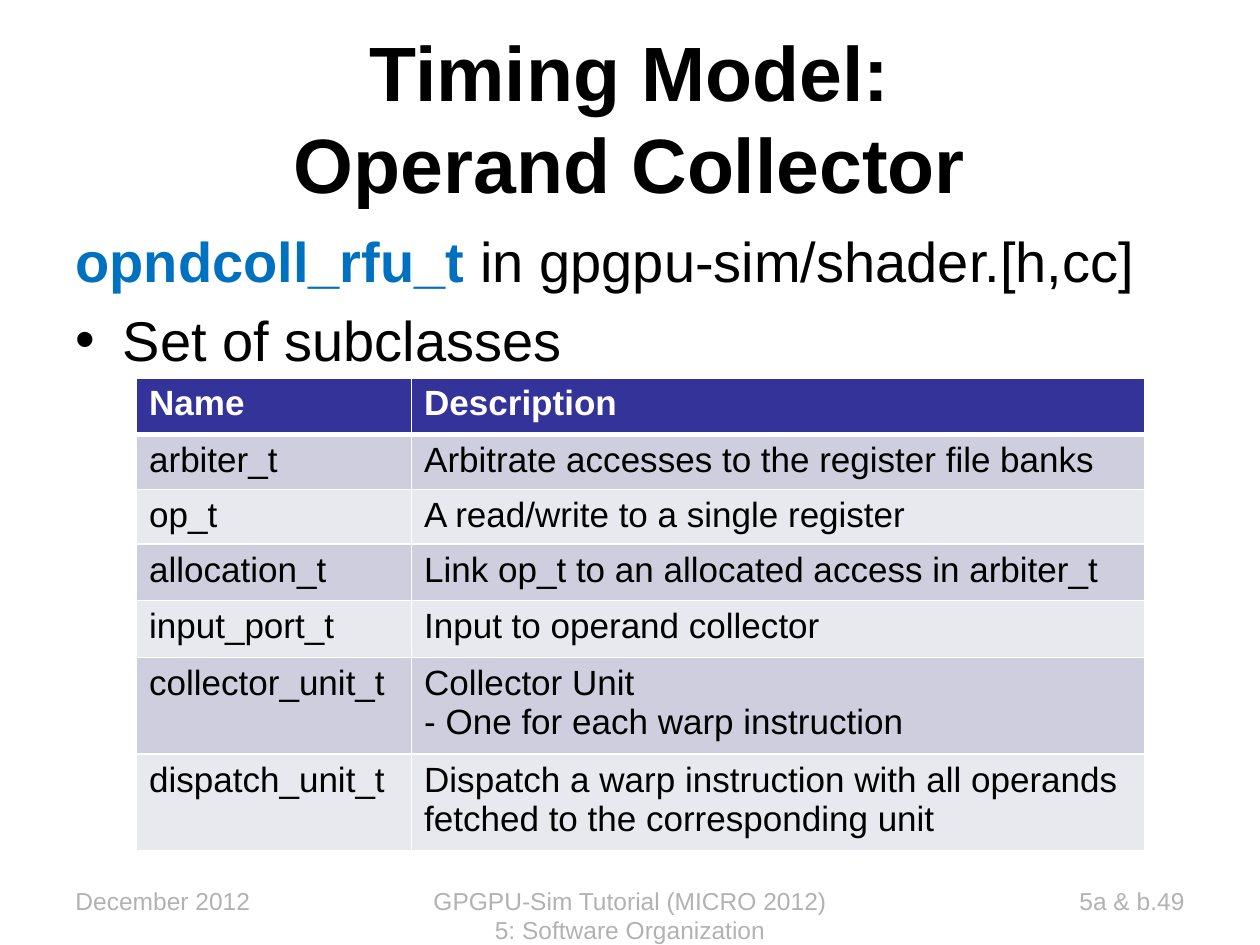
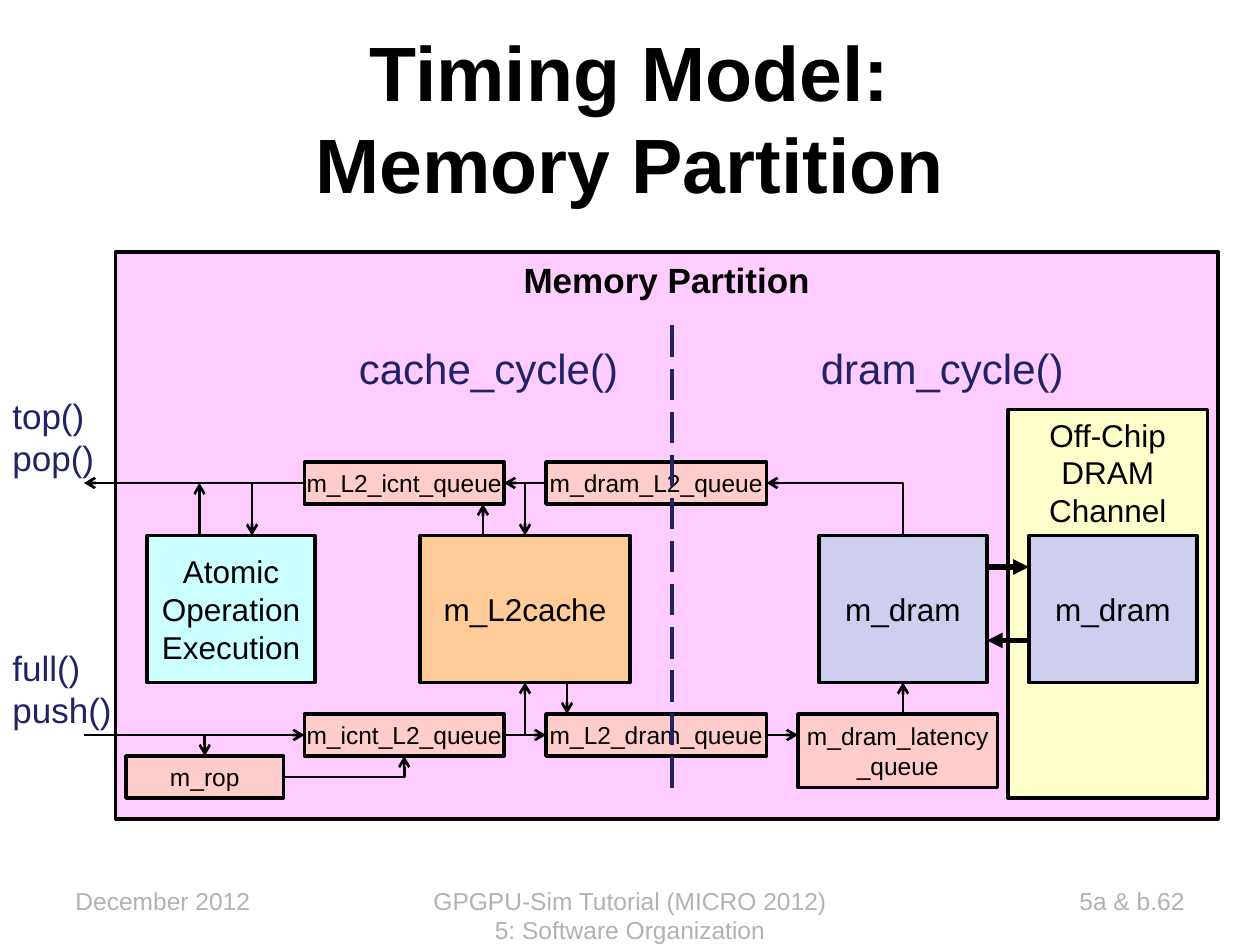
from dataclasses import dataclass

from lxml import etree
from pptx import Presentation
from pptx.dml.color import RGBColor
from pptx.enum import dml, shapes, text
from pptx.oxml import ns
from pptx.util import Emu, Inches, Pt

COLUMNS, ROWS = 120, 90
SLIDE_WIDTH, SLIDE_HEIGHT = Inches(10), Inches(7.5)
FONT = "Arial"
COLORS = {
    "black": "000000", "white": "FFFFFF", "code": "0070C0", "footer": "B2B2B2",
    "header": "333399", "odd": "CECEDE", "even": "E8E8EF", "call": "222267",
    "partition": "FFCCFF", "cache": "FFCC99", "dram": "CECEEF",
    "channel": "FFFFCC", "atomic": "CCFFFF", "queue": "FFCCCC",
}
LEFT, CENTER, RIGHT = text.PP_ALIGN.LEFT, text.PP_ALIGN.CENTER, text.PP_ALIGN.RIGHT
TOP, MIDDLE = text.MSO_ANCHOR.TOP, text.MSO_ANCHOR.MIDDLE


@dataclass(frozen=True)
class Area:
    column: float
    row: float
    columns: float
    rows: float

    def lengths(self) -> tuple:
        return across(self.column), down(self.row), across(self.columns), down(self.rows)


@dataclass(frozen=True)
class Block:
    label: str
    area: Area
    fill: str
    size: int = 18
    bold: bool = False
    anchor: text.MSO_ANCHOR = MIDDLE


@dataclass(frozen=True)
class Link:
    start: tuple
    end: tuple
    elbow: bool = False
    width: float = 1.5
    head: str = ""
    tail: str = "arrow"


@dataclass(frozen=True)
class Label:
    wording: str
    area: Area
    size: int
    color: str = "call"
    align: text.PP_ALIGN = LEFT
    wrap: bool = False


TITLE_AREA = Area(6, 3.6, 108, 15)
BODY_AREA = Area(6, 21, 108, 59.4)
TABLE_AREA = Area(13, 36, 96, 43.2)
NAME_COLUMNS = 26.2
ROW_HEIGHTS = (5.4, 4.9, 4.9, 5.4, 5.4, 5.4, 5.4)
SUBCLASSES = (
    ("Name", "Description"),
    ("arbiter_t", "Arbitrate accesses to the register file banks"),
    ("op_t", "A read/write to a single register"),
    ("allocation_t", "Link op_t to an allocated access in arbiter_t"),
    ("input_port_t", "Input to operand collector"),
    ("collector_unit_t", "Collector Unit\n- One for each warp instruction"),
    ("dispatch_unit_t",
     "Dispatch a warp instruction with all operands fetched to the corresponding unit"),
)


def queue(label: str, column: float, row: float, columns: float, rows: float = 4) -> Block:
    return Block(label, Area(column, row, columns, rows), "queue", 14)


UNIT_ROW, UNIT_ROWS = 51, 14
UNIT_BOTTOM = UNIT_ROW + UNIT_ROWS
REPLY_ROW, REQUEST_ROW = 44, 68
REPLY, REQUEST = REPLY_ROW + 2, REQUEST_ROW + 2

BLOCKS = (
    Block("Memory Partition", Area(11, 24, 105, 54), "partition", 20, True, TOP),
    Block("m_L2cache", Area(40, UNIT_ROW, 20, UNIT_ROWS), "cache"),
    Block("m_dram", Area(78, UNIT_ROW, 16, UNIT_ROWS), "dram"),
    Block("Off-Chip DRAM Channel", Area(96, 39, 19, 37), "channel", anchor=TOP),
    Block("m_dram", Area(98, UNIT_ROW, 16, UNIT_ROWS), "dram"),
    Block("Atomic\nOperation\nExecution", Area(14, UNIT_ROW, 16, UNIT_ROWS), "atomic"),
    queue("m_rop", 12, 72, 15),
    queue("m_icnt_L2_queue", 29, REQUEST_ROW, 19),
    queue("m_L2_dram_queue", 52, REQUEST_ROW, 21),
    queue("m_dram_latency\n_queue", 76, REQUEST_ROW, 19, 7),
    queue("m_dram_L2_queue", 52, REPLY_ROW, 21),
    queue("m_L2_icnt_queue", 29, REPLY_ROW, 19),
)
LINKS = (
    Link((94, 54), (98, 54), width=3, tail="triangle"),
    Link((98, 61), (94, 61), width=3, tail="triangle"),
    Link((9, REQUEST), (19.5, 72), elbow=True),
    Link((27, 74), (38.5, 72), elbow=True),
    Link((48, REQUEST), (50, UNIT_BOTTOM), elbow=True),
    Link((48, REQUEST), (52, REQUEST)),
    Link((8, REQUEST), (29, REQUEST)),
    Link((73, REQUEST), (76, REQUEST)),
    Link((86, REQUEST_ROW), (86, UNIT_BOTTOM)),
    Link((54, UNIT_BOTTOM), (54, REQUEST_ROW)),
    Link((46, UNIT_ROW), (46, REPLY_ROW + 4)),
    Link((52, REPLY), (50, UNIT_ROW), elbow=True),
    Link((52, REPLY), (48, REPLY)),
    Link((73, REPLY), (86, UNIT_ROW), elbow=True, head="arrow", tail=""),
    Link((29, REPLY), (8, REPLY)),
    Link((19, UNIT_ROW), (19, REPLY)),
    Link((24, REPLY), (24, UNIT_ROW)),
)
CALLS = (
    Label("full()\npush()", Area(0, 61, 12, 9.25), 20),
    Label("top()\npop()", Area(0, 37, 10.3, 9.25), 20),
    Label("cache_cycle()", Area(33, 32, 27.4, 6), 24),
    Label("dram_cycle()", Area(77, 32, 25.8, 6), 24),
)


def across(columns: float) -> Emu:
    return Emu(round(SLIDE_WIDTH * columns / COLUMNS))


def down(rows: float) -> Emu:
    return Emu(round(SLIDE_HEIGHT * rows / ROWS))


def rgb(name: str) -> RGBColor:
    return RGBColor.from_string(COLORS[name])


def add_text(paragraph, wording: str, *, size: float, color: str = "black",
             bold: bool = False, align=None) -> None:
    if align is not None:
        paragraph.alignment = align
    for index, line in enumerate(wording.split("\v")):
        if index:
            paragraph.add_line_break()
        run = paragraph.add_run()
        run.text = line
        run.font.name, run.font.size, run.font.bold = FONT, Pt(size), bold
        run.font.color.rgb = rgb(color)


def add_paragraphs(frame, wording: str, **style) -> None:
    for index, line in enumerate(wording.split("\n")):
        paragraph = frame.add_paragraph() if index else frame.paragraphs[0]
        add_text(paragraph, line, **style)


def place(shape, area: Area) -> None:
    shape.left, shape.top, shape.width, shape.height = area.lengths()


def add_label(slide, label: Label) -> None:
    frame = slide.shapes.add_textbox(*label.area.lengths()).text_frame
    frame.word_wrap = label.wrap
    if not label.wrap:
        frame.auto_size = text.MSO_AUTO_SIZE.SHAPE_TO_FIT_TEXT
    add_paragraphs(frame, label.wording, size=label.size, color=label.color,
                   align=label.align)


def start_slide(presentation, layout: int, subject: str, number: int):
    slide = presentation.slides.add_slide(presentation.slide_layouts[layout])
    title = slide.shapes.title
    place(title, TITLE_AREA)
    frame = title.text_frame
    frame.auto_size, frame.vertical_anchor = text.MSO_AUTO_SIZE.NONE, MIDDLE
    add_text(frame.paragraphs[0], f"Timing Model:\v{subject}", size=44, bold=True,
             align=CENTER)
    footers = (
        ("December 2012", 6, 28, LEFT),
        ("GPGPU-Sim Tutorial (MICRO 2012) 5: Software Organization", 40, 40, CENTER),
        (f"5a & b.{number}", 86, 28, RIGHT),
    )
    for wording, column, columns, align in footers:
        add_label(slide, Label(wording, Area(column, 83.75, columns, 6.25), 14,
                               "footer", align, True))
    return slide


def set_borders(cell, widths: dict) -> None:
    properties = cell._tc.get_or_add_tcPr()
    for index, (side, width) in enumerate(widths.items()):
        border = etree.Element(ns.qn(f"a:ln{side}"), w=str(Pt(width)))
        fill = etree.SubElement(border, ns.qn("a:solidFill"))
        etree.SubElement(fill, ns.qn("a:srgbClr"), val=COLORS["white"])
        properties.insert(index, border)


def add_subclass_table(slide) -> None:
    table = slide.shapes.add_table(len(SUBCLASSES), 2, *TABLE_AREA.lengths()).table
    table.columns[0].width = across(NAME_COLUMNS)
    table.columns[1].width = across(TABLE_AREA.columns - NAME_COLUMNS)
    for row, (entries, height) in enumerate(zip(SUBCLASSES, ROW_HEIGHTS)):
        table.rows[row].height = down(height)
        header = row == 0
        fill = "header" if header else ("even", "odd")[row % 2]
        for column, wording in enumerate(entries):
            cell = table.cell(row, column)
            cell.fill.solid()
            cell.fill.fore_color.rgb = rgb(fill)
            set_borders(cell, {"L": 1, "R": 1, "T": 3 if row == 1 else 1,
                               "B": 3 if header else 1})
            add_paragraphs(cell.text_frame, wording, size=20, bold=header,
                           color="white" if header else "black")


def add_block(slide, block: Block):
    shape = slide.shapes.add_shape(shapes.MSO_SHAPE.RECTANGLE, *block.area.lengths())
    shape.shadow.inherit = False
    shape.fill.solid()
    shape.fill.fore_color.rgb = rgb(block.fill)
    shape.line.color.rgb, shape.line.width = rgb("black"), Pt(2)
    frame = shape.text_frame
    frame.word_wrap, frame.vertical_anchor = True, block.anchor
    if block.fill == "queue":
        frame.margin_left = frame.margin_right = frame.margin_top = frame.margin_bottom = 0
    add_paragraphs(frame, block.label, size=block.size, bold=block.bold, align=CENTER)
    return shape


def side_middles(area: Area) -> tuple:
    middle_column, middle_row = area.column + area.columns / 2, area.row + area.rows / 2
    return ((middle_column, area.row), (area.column, middle_row),
            (middle_column, area.row + area.rows), (area.column + area.columns, middle_row))


def add_link(slide, link: Link, sites: dict, color: str = "black"):
    points = [length for column, row in (link.start, link.end)
              for length in (across(column), down(row))]
    kind = shapes.MSO_CONNECTOR.ELBOW if link.elbow else shapes.MSO_CONNECTOR.STRAIGHT
    connector = slide.shapes.add_connector(kind, *points)
    properties = connector._element.spPr
    if link.elbow:
        properties.find(ns.qn("a:prstGeom")).set("prst", "bentConnector2")
    else:
        if link.start in sites:
            connector.begin_connect(*sites[link.start])
        if link.end in sites:
            connector.end_connect(*sites[link.end])
    connector.line.color.rgb, connector.line.width = rgb(color), Pt(link.width)
    for name, arrow in (("headEnd", link.head), ("tailEnd", link.tail)):
        if arrow:
            etree.SubElement(properties.find(ns.qn("a:ln")), ns.qn(f"a:{name}"), type=arrow)
    etree.SubElement(properties, ns.qn("a:effectLst"))
    return connector


def build_operand_collector(presentation) -> None:
    slide = start_slide(presentation, 1, "Operand Collector", 49)
    body = slide.placeholders[1]
    place(body, BODY_AREA)
    frame = body.text_frame
    frame.auto_size = text.MSO_AUTO_SIZE.NONE
    source = frame.paragraphs[0]
    etree.SubElement(source._p.get_or_add_pPr(), ns.qn("a:buNone"))
    add_text(source, "opndcoll_rfu_t", size=32, color="code", bold=True)
    add_text(source, " in gpgpu-sim/shader.[h,cc]", size=32)
    add_text(frame.add_paragraph(), "Set of subclasses", size=32)
    add_subclass_table(slide)


def build_memory_partition(presentation) -> None:
    slide = start_slide(presentation, 5, "Memory Partition", 62)
    sites = {}
    for block in BLOCKS:
        shape = add_block(slide, block)
        for site, point in enumerate(side_middles(block.area)):
            sites[point] = (shape, site)
    for link in LINKS:
        add_link(slide, link, sites)
    divider = add_link(slide, Link((64, 31), (64, 76), width=2.25, tail=""), {}, "call")
    divider.line.dash_style = dml.MSO_LINE.LONG_DASH
    for call in CALLS:
        add_label(slide, call)


def main() -> None:
    presentation = Presentation()
    presentation.slide_width, presentation.slide_height = SLIDE_WIDTH, SLIDE_HEIGHT
    build_operand_collector(presentation)
    build_memory_partition(presentation)
    presentation.save("out.pptx")


if __name__ == "__main__":
    main()
